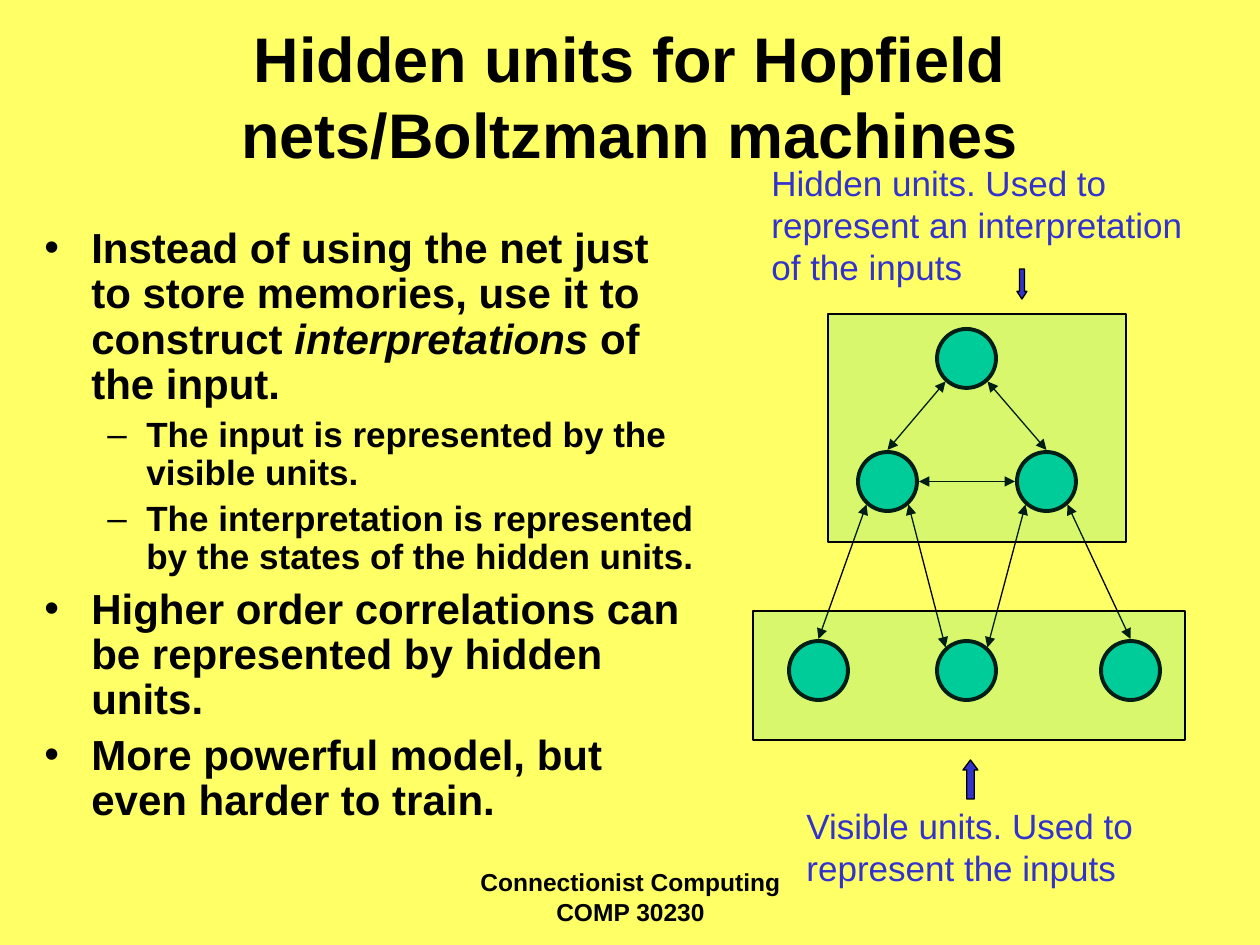
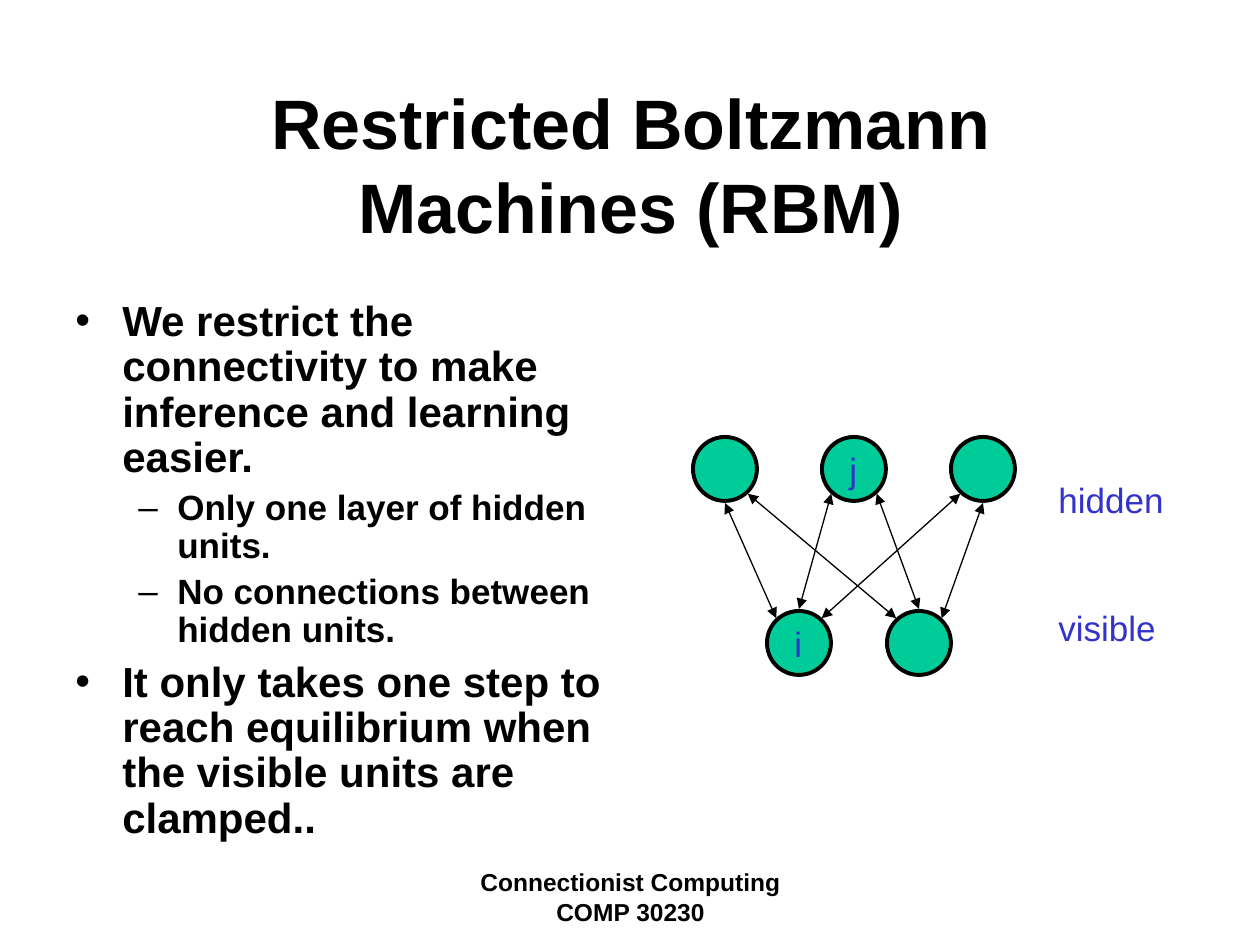
from collections import namedtuple

from lxml.etree import SubElement
from pptx import Presentation
from pptx.dml.color import RGBColor
from pptx.enum.shapes import MSO_CONNECTOR, MSO_SHAPE
from pptx.enum.text import MSO_ANCHOR, PP_ALIGN
from pptx.oxml.ns import qn
from pptx.util import Emu, Pt

PX = 914400 / 126

BLACK = RGBColor(0x00, 0x00, 0x00)
WHITE = RGBColor(0xFF, 0xFF, 0xFF)
YELLOW = RGBColor(0xFF, 0xFF, 0x66)
GREEN = RGBColor(0x00, 0xCC, 0x99)
BLUE = RGBColor(0x33, 0x33, 0xCC)

FOOTER = "Connectionist Computing COMP 30230"
LABEL = {"size": Pt(20), "bold": False}
BULLETS = [
    {"char": "•", "size": 24, "margin": 47, "hang": 47, "before": 6},
    {"char": "–", "size": 20, "margin": 102, "hang": 39, "before": 5},
]

DIAGONAL = 0.71
CLEARANCE = 2
SITES = {
    "top": (0, -1),
    "bottom": (0, 1),
    "left": (-1, 0),
    "right": (1, 0),
    "top left": (-DIAGONAL, -DIAGONAL),
    "top right": (DIAGONAL, -DIAGONAL),
    "bottom left": (-DIAGONAL, DIAGONAL),
    "bottom right": (DIAGONAL, DIAGONAL),
}

Unit = namedtuple("Unit", "left top size")


def px(length):
    return Emu(round(length * PX))


def site_point(unit, site):
    across, down = SITES[site]
    radius = unit.size / 2
    x = unit.left + radius + across * radius
    y = unit.top + radius + down * radius
    if down:
        y += CLEARANCE if down > 0 else -CLEARANCE
    else:
        x += CLEARANCE * across
    return px(x), px(y)


class Deck:
    def __init__(self, font="Arial"):
        self.font = font
        self.presentation = Presentation()
        self.presentation.slide_width = px(1260)
        self.presentation.slide_height = px(945)
        self.slide = None

    def start_slide(self, background):
        layout = self.presentation.slide_layouts[6]
        self.slide = self.presentation.slides.add_slide(layout)
        fill = self.slide.background.fill
        fill.solid()
        fill.fore_color.rgb = background
        self.text((431, 861, 399, 63), FOOTER, {"size": Pt(14), "bold": True},
                  align=PP_ALIGN.CENTER)

    def frame(self, box, anchor=MSO_ANCHOR.TOP):
        frame = self.slide.shapes.add_textbox(*map(px, box)).text_frame
        frame.word_wrap = True
        frame.vertical_anchor = anchor
        return frame

    def run(self, paragraph, words, look, color):
        run = paragraph.add_run()
        run.text = words
        for key, value in {"name": self.font, **look}.items():
            setattr(run.font, key, value)
        run.font.color.rgb = color

    def text(self, box, words, look, color=BLACK, align=PP_ALIGN.LEFT,
             anchor=MSO_ANCHOR.TOP):
        paragraph = self.frame(box, anchor).paragraphs[0]
        paragraph.alignment = align
        self.run(paragraph, words, look, color)

    def title(self, box, words, size):
        self.text(box, words, {"size": Pt(size), "bold": True},
                  align=PP_ALIGN.CENTER, anchor=MSO_ANCHOR.MIDDLE)

    def label(self, box, words):
        self.text(box, words, LABEL, BLUE)

    def body(self, box, points):
        frame = self.frame(box)
        for index, (level, words) in enumerate(points):
            bullet = BULLETS[level]
            paragraph = frame.add_paragraph() if index else frame.paragraphs[0]
            properties = paragraph._p.get_or_add_pPr()
            properties.set("marL", str(px(bullet["margin"])))
            properties.set("indent", str(-px(bullet["hang"])))
            SubElement(properties, qn("a:buFont"), typeface=self.font)
            SubElement(properties, qn("a:buChar"), char=bullet["char"])
            paragraph.level = level
            paragraph.line_spacing = 0.9
            paragraph.space_before = Pt(bullet["before"] if index else 0)
            for part, segment in enumerate(words.split("*")):
                look = {"size": Pt(bullet["size"]), "bold": True,
                        "italic": part % 2 == 1}
                self.run(paragraph, segment, look, BLACK)

    def shape(self, kind, box, color, line=0.75, adjustments=(), alpha=None):
        shape = self.slide.shapes.add_shape(kind, *map(px, box))
        shape.shadow.inherit = False
        shape.fill.solid()
        shape.fill.fore_color.rgb = color
        shape.line.color.rgb = BLACK
        shape.line.width = Pt(line)
        for index, value in enumerate(adjustments):
            shape.adjustments[index] = value
        if alpha:
            tint = shape.element.spPr.find(qn("a:solidFill"))[0]
            SubElement(tint, qn("a:alpha"), val=str(alpha * 1000))

    def unit(self, left, top, size):
        self.shape(MSO_SHAPE.OVAL, (left, top, size, size), GREEN, 2.25)
        return Unit(left, top, size)

    def layer(self, box):
        self.shape(MSO_SHAPE.RECTANGLE, box, GREEN, alpha=15)

    def link(self, start, start_site, end, end_site):
        link = self.slide.shapes.add_connector(
            MSO_CONNECTOR.STRAIGHT,
            *site_point(start, start_site), *site_point(end, end_site))
        link.line.color.rgb = BLACK
        link.line.width = Pt(0.75)
        properties = link.element.spPr
        outline = properties.find(qn("a:ln"))
        for tip in ("a:headEnd", "a:tailEnd"):
            SubElement(outline, qn(tip), type="triangle")
        SubElement(properties, qn("a:effectLst"))


def hidden_units_slide(deck):
    deck.start_slide(YELLOW)
    deck.title((63, 16, 1134, 158),
               "Hidden units for Hopfield nets/Boltzmann machines", 36)
    deck.body((32, 221, 679, 651), [
        (0, "Instead of using the net just to store memories, use it to "
            "construct *interpretations* of the input."),
        (1, "The input is represented by the visible units."),
        (1, "The interpretation is represented by the states of the hidden "
            "units."),
        (0, "Higher order correlations can be represented by hidden units."),
        (0, "More powerful model, but even harder to train."),
    ])
    visible = [deck.unit(left, 641, 59) for left in (789, 937, 1101)]
    hidden_left, hidden_right = [deck.unit(left, 452, 59)
                                 for left in (858, 1017)]
    hidden_top = deck.unit(937, 329, 59)
    for ends in [
        (hidden_left, "top", hidden_top, "bottom left"),
        (hidden_top, "bottom right", hidden_right, "top"),
        (visible[0], "top", hidden_left, "bottom left"),
        (hidden_left, "right", hidden_right, "left"),
        (hidden_left, "bottom right", visible[1], "top left"),
        (visible[1], "top right", hidden_right, "bottom left"),
        (hidden_right, "bottom right", visible[2], "top"),
    ]:
        deck.link(*ends)
    deck.layer((753, 611, 432, 129))
    deck.layer((828, 314, 298, 228))
    deck.label((794, 798, 358, 97),
               "Visible units. Used to represent the inputs")
    deck.label((759, 155, 437, 139),
               "Hidden units. Used to represent an interpretation of the "
               "inputs")
    deck.shape(MSO_SHAPE.UP_ARROW, (963, 760, 15, 39), BLUE,
               adjustments=(0.5, 0.67))
    deck.shape(MSO_SHAPE.DOWN_ARROW, (1017, 269, 10, 30), BLUE,
               adjustments=(0.5, 0.76))


def restricted_slide(deck):
    deck.start_slide(WHITE)
    deck.title((95, 84, 1071, 158), "Restricted Boltzmann Machines (RBM)", 40)
    deck.body((63, 294, 557, 595), [
        (0, "We restrict the connectivity to make inference and learning "
            "easier."),
        (1, "Only one layer of hidden units."),
        (1, "No connections between hidden units."),
        (0, "It only takes one step to reach equilibrium when the visible "
            "units are clamped.."),
    ])
    visible_i, visible_next = [deck.unit(767 + 120 * column, 611, 64)
                               for column in range(2)]
    hidden = [deck.unit(693 + 129 * column, 437, 64) for column in range(3)]
    for ends in [
        (hidden[0], "bottom", visible_i, "top left"),
        (hidden[0], "bottom right", visible_next, "top left"),
        (hidden[1], "bottom left", visible_i, "top"),
        (hidden[1], "bottom right", visible_next, "top"),
        (hidden[2], "bottom left", visible_i, "top right"),
        (hidden[2], "bottom", visible_next, "top right"),
    ]:
        deck.link(*ends)
    deck.label((1046, 472, 139, 55), "hidden")
    deck.label((1046, 600, 139, 55), "visible")
    deck.label((782, 616, 49, 55), "i")
    deck.label((837, 442, 59, 55), "j")


def main():
    deck = Deck()
    hidden_units_slide(deck)
    restricted_slide(deck)
    deck.presentation.save("out.pptx")


if __name__ == "__main__":
    main()
